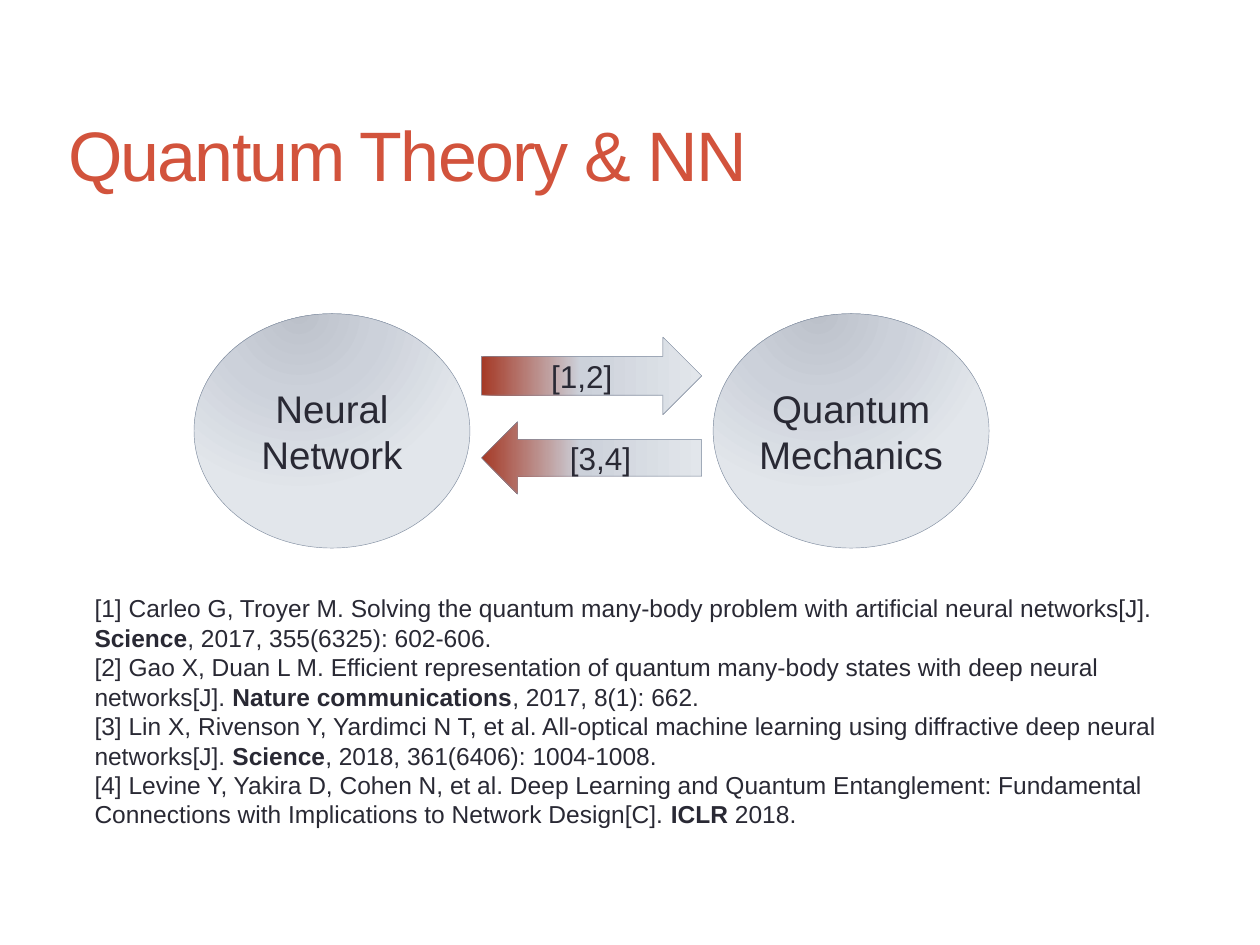
from dataclasses import dataclass

from lxml.etree import SubElement
from pptx import Presentation
from pptx.dml.color import RGBColor
from pptx.enum.shapes import MSO_SHAPE
from pptx.enum.text import MSO_ANCHOR, PP_ALIGN
from pptx.oxml.ns import qn
from pptx.util import Inches, Pt


@dataclass(frozen=True)
class Theme:
    font: str = "Arial"
    text: str = "292934"
    title: str = "D2533C"
    outline: str = "808DA0"
    node_stops: tuple = ((0, "BCC1CA"), (45, "CCD1DA"), (100, "E2E6EB"))
    arrow_stops: tuple = ((0, "A53926"), (45, "CCD1DA"), (100, "E2E6EB"))
    title_size: int = 40
    node_size: int = 22
    arrow_size: int = 18
    reference_size: int = 14
    inset: float = 0.04


THEME = Theme()

REFERENCES = (
    ("[1] Carleo G, Troyer M. Solving the quantum many-body problem with "
     "artificial neural networks[J]. ", "Science", ", 2017, 355(6325): 602-606."),
    ("[2] Gao X, Duan L M. Efficient representation of quantum many-body states "
     "with deep neural networks[J]. ", "Nature communications", ", 2017, 8(1): 662."),
    ("[3] Lin X, Rivenson Y, Yardimci N T, et al. All-optical machine learning using "
     "diffractive deep neural networks[J]. ", "Science", ", 2018, 361(6406): 1004-1008."),
    ("[4] Levine Y, Yakira D, Cohen N, et al. Deep Learning and Quantum Entanglement: "
     "Fundamental Connections with Implications to Network Design[C]. ", "ICLR", " 2018."),
)


def inches(box):
    return [Inches(length) for length in box]


def prepare_frame(shape, anchor):
    frame = shape.text_frame
    frame.word_wrap = True
    frame.vertical_anchor = anchor
    frame.margin_left = frame.margin_right = Inches(THEME.inset)
    frame.margin_top = frame.margin_bottom = Inches(THEME.inset)
    return frame


def style_paragraph(paragraph, size, color=THEME.text):
    paragraph.font.name = THEME.font
    paragraph.font.size = Pt(size)
    paragraph.font.color.rgb = RGBColor.from_string(color)


def fill_gradient(shape, stops, radial):
    """Give the shape a three-stop gradient, radial or left to right."""
    shape.fill.gradient()
    gradient = shape._element.spPr.find(qn("a:gradFill"))
    for child in list(gradient):
        gradient.remove(child)
    stop_list = SubElement(gradient, qn("a:gsLst"))
    for position, color in stops:
        stop = SubElement(stop_list, qn("a:gs"), pos=str(position * 1000))
        SubElement(stop, qn("a:srgbClr"), val=color)
    if radial:
        path_element = SubElement(gradient, qn("a:path"))
        path_element.set("path", "circle")
        SubElement(path_element, qn("a:fillToRect"),
                   l="38000", t="-20000", r="62000", b="120000")
    else:
        SubElement(gradient, qn("a:lin"), ang="0", scaled="0")


def add_labelled_shape(slide, kind, box, label, size, stops, radial=False):
    shape = slide.shapes.add_shape(kind, *inches(box))
    shape.shadow.inherit = False
    fill_gradient(shape, stops, radial)
    shape.line.color.rgb = RGBColor.from_string(THEME.outline)
    shape.line.width = Pt(0.25)
    paragraph = prepare_frame(shape, MSO_ANCHOR.MIDDLE).paragraphs[0]
    paragraph.text = label
    paragraph.alignment = PP_ALIGN.CENTER
    style_paragraph(paragraph, size)


def add_title(slide, box):
    text_box = slide.shapes.add_textbox(*inches(box))
    paragraph = prepare_frame(text_box, MSO_ANCHOR.MIDDLE).paragraphs[0]
    run = paragraph.add_run()
    run.text = "Quantum Theory & NN"
    style_paragraph(paragraph, THEME.title_size, THEME.title)
    run.font._element.set("spc", "-100")  # tighter letters


def add_exchange(slide, box):
    """Two ellipses at the ends of the box, two arrows between them."""
    left, top, width, height = box
    node_width = 0.347 * width
    arrow_width = 0.277 * width
    arrow_left = left + (width - arrow_width) / 2

    # Fields of study
    for label, node_left in (("Neural Network", left),
                             ("Quantum Mechanics", left + width - node_width)):
        add_labelled_shape(slide, MSO_SHAPE.OVAL, (node_left, top, node_width, height),
                           label, THEME.node_size, THEME.node_stops, radial=True)

    # Influence in each direction
    for kind, label, offset, share in ((MSO_SHAPE.RIGHT_ARROW, "[1,2]", 0.1, 0.33),
                                       (MSO_SHAPE.LEFT_ARROW, "[3,4]", 0.46, 0.31)):
        arrow_box = (arrow_left, top + offset * height, arrow_width, share * height)
        add_labelled_shape(slide, kind, arrow_box, label,
                           THEME.arrow_size, THEME.arrow_stops)


def add_references(slide, box):
    text_box = slide.shapes.add_textbox(*inches(box))
    frame = prepare_frame(text_box, MSO_ANCHOR.TOP)
    for index, (citation, venue, details) in enumerate(REFERENCES):
        paragraph = frame.add_paragraph() if index else frame.paragraphs[0]
        for text in (citation, venue, details):
            run = paragraph.add_run()
            run.text = text
            run.font.bold = text == venue
        style_paragraph(paragraph, THEME.reference_size)


def main():
    presentation = Presentation()
    presentation.slide_width = Inches(10)
    presentation.slide_height = Inches(7.5)
    slide = presentation.slides.add_slide(presentation.slide_layouts[6])

    add_exchange(slide, (1.54, 2.49, 6.31, 1.86))
    add_references(slide, (0.71, 4.67, 8.58, 1.85))
    add_title(slide, (0.5, 0.81, 9, 0.81))
    presentation.save("out.pptx")


if __name__ == "__main__":
    main()
